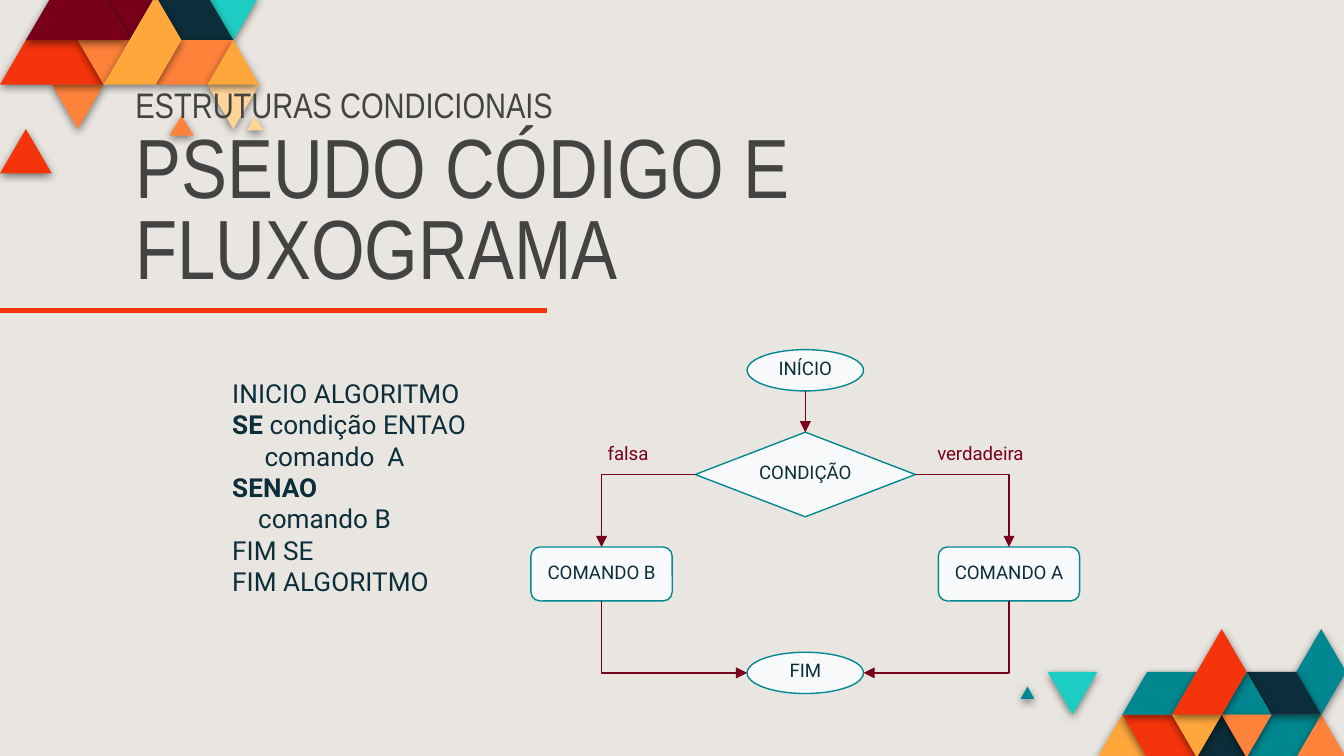
from dataclasses import dataclass

from lxml import etree
from pptx import Presentation
from pptx import util as u
from pptx.dml.color import RGBColor
from pptx.enum import shapes, text
from pptx.oxml import parse_xml
from pptx.oxml.ns import nsdecls, qn

Cm, Pt = u.Cm, u.Pt
COLORS = {
    "paper": "E9E6E1", "wine": "78001B", "red": "F5340B", "orange": "FF823B",
    "amber": "FFA73B", "cream": "FFD497", "aqua": "1DCDC3", "teal": "018790",
    "navy": "0C2E3A", "gray": "434343", "white": "F8FAFB",
}
SHADOW = (
    f'<a:effectLst {nsdecls("a")}><a:outerShdw blurRad="57150" dist="19050" dir="5400000" '
    'algn="bl" rotWithShape="0"><a:srgbClr val="000000"><a:alpha val="50000"/></a:srgbClr>'
    '</a:outerShdw></a:effectLst>'
)


@dataclass
class Mosaic:
    """Tiles whose corners are (column, row) points of a triangular lattice."""
    left: float
    top: float
    dx: float
    dy: float
    tiles: list[tuple[str, list[tuple[float, float]]]]


@dataclass
class Node:
    label: str
    preset: shapes.MSO_SHAPE
    cx: float
    cy: float
    w: float
    h: float
    label_w: float


@dataclass
class Line:
    words: list[tuple[str, bool]]
    indent: float = 0


TOP_MOSAIC = Mosaic(0, -0.08, 0.49, 0.84, [
    ("wine", [(6, 0), (5, 1), (4, 0)]),
    ("aqua", [(10, 0), (9, 1), (8, 0)]),
    ("navy", [(9, 1), (7, 1), (6, 0), (8, 0)]),
    ("cream", [(10, 2), (9, 3), (8, 2)]),
    ("orange", [(7.47, 3.15), (6.53, 3.15), (7, 2.7)]),
    ("cream", [(10.16, 3.03), (9.53, 3.03), (9.84, 2.7)]),
    ("orange", [(9, 1), (8, 2), (6, 2), (7, 1)]),
    ("amber", [(10, 2), (8, 2), (9, 1)]),
    ("orange", [(4, 2), (3, 3), (2, 2)]),
    ("red", [(2, 4), (0, 4), (1, 3)]),
    ("red", [(4, 2), (0, 2), (1, 1), (3, 1)]),
    ("orange", [(5, 1), (4, 2), (3, 1)]),
    ("wine", [(5, 1), (1, 1), (2, 0), (4, 0)]),
    ("amber", [(7, 1), (6, 2), (4, 2), (6, 0)]),
])
BOTTOM_MOSAIC = Mosaic(19.8, 11.89, 0.47, 0.81, [
    ("amber", [(2, 3), (3, 2), (4, 3)]),
    ("red", [(3, 2), (5, 2), (6, 3), (4, 3)]),
    ("teal", [(8, 3), (9, 2), (11, 2), (10, 3)]),
    ("orange", [(10, 3), (11, 2), (12, 3)]),
    ("navy", [(6, 3), (7, 2), (8, 3)]),
    ("teal", [(3, 2), (4, 1), (6, 1), (5, 2)]),
    ("teal", [(-1.09, 1.63), (-0.81, 1.34), (-0.54, 1.63)]),
    ("aqua", [(0, 1), (2, 1), (1, 2)]),
    ("teal", [(10, 1), (11, 0), (12, 1), (11, 2)]),
    ("navy", [(8, 1), (10, 1), (11, 2), (9, 2)]),
    ("teal", [(7, 2), (8, 1), (9, 2)]),
    ("orange", [(7, 2), (9, 2), (8, 3)]),
    ("amber", [(5, 2), (7, 2), (6, 3)]),
    ("red", [(5, 2), (7, 0), (8, 1), (7, 2)]),
])

AXIS, BRANCH = 15.22, 3.85
SHAPE = shapes.MSO_SHAPE
START = Node("INÍCIO", SHAPE.FLOWCHART_CONNECTOR, AXIS, 7, 2.2, 0.78, 1.85)
END = Node("FIM", SHAPE.FLOWCHART_CONNECTOR, AXIS, 12.72, 2.2, 0.78, 1.85)
CONDITION = Node("CONDIÇÃO", SHAPE.FLOWCHART_DECISION, AXIS, 8.97, 4.16, 1.6, 2.74)
COMMAND_B = Node("COMANDO B", SHAPE.ROUNDED_RECTANGLE, AXIS - BRANCH, 10.85, 2.67, 1.02, 3.18)
COMMAND_A = Node("COMANDO A", SHAPE.ROUNDED_RECTANGLE, AXIS + BRANCH, 10.85, 2.67, 1.02, 3.18)
NODES = [START, END, CONDITION, COMMAND_B, COMMAND_A]

PSEUDOCODE = [
    Line([("INICIO ALGORITMO", False)]),
    Line([("SE", True), (" condição ENTAO", False)]),
    Line([("comando  A", False)], 0.61),
    Line([("SENAO", True)]),
    Line([("comando B", False)], 0.49),
    Line([("FIM SE", False)]),
    Line([("FIM ALGORITMO", False)]),
]


def rgb(name: str) -> RGBColor:
    return RGBColor.from_string(COLORS[name])


def draw_mosaic(s, mosaic: Mosaic) -> None:
    group = s.shapes.add_group_shape()
    for color, corners in mosaic.tiles:
        pts = [(Cm(mosaic.left + c * mosaic.dx), Cm(mosaic.top + r * mosaic.dy))
               for c, r in corners]
        fb = group.shapes.build_freeform(*pts[0])
        fb.add_line_segments(pts[1:], close=True)
        sp = fb.convert_to_shape()
        sp.fill.solid()
        sp.fill.fore_color.rgb = rgb(color)
        sp.line.fill.background()
        sp._element.spPr.append(parse_xml(SHADOW))


def add_text_frame(s, x: float, y: float, w: float, h: float):
    tf = s.shapes.add_textbox(Cm(x), Cm(y), Cm(w), Cm(h)).text_frame
    tf.word_wrap = True
    tf.margin_left = tf.margin_right = tf.margin_top = tf.margin_bottom = Cm(0.25)
    return tf


def add_run(p, words: str, size: float, color: str, font: str = "Roboto", bold: bool = False) -> None:
    r = p.add_run()
    r.text = words
    r.font.name, r.font.size, r.font.bold = font, Pt(size), bold
    r.font.color.rgb = rgb(color)


def draw_label(s, words: str, cx: float, cy: float, w: float, color: str = "navy") -> None:
    tf = add_text_frame(s, cx - w / 2, cy - 0.47, w, 0.94)
    tf.auto_size = text.MSO_AUTO_SIZE.SHAPE_TO_FIT_TEXT
    tf.paragraphs[0].alignment = text.PP_ALIGN.CENTER
    add_run(tf.paragraphs[0], words, 10, color)


def draw_node(s, node: Node):
    sp = s.shapes.add_shape(node.preset, Cm(node.cx - node.w / 2), Cm(node.cy - node.h / 2),
                            Cm(node.w), Cm(node.h))
    sp.shadow.inherit = False
    sp.fill.solid()
    sp.fill.fore_color.rgb = rgb("white")
    sp.line.color.rgb = rgb("teal")
    sp.line.width = Pt(0.75)
    return sp


def draw_line(s, x1: float, y1: float, x2: float, y2: float, color: str = "wine",
              width: float = 0.75, arrow: bool = True, elbow: bool = False):
    kind = shapes.MSO_CONNECTOR.ELBOW if elbow else shapes.MSO_CONNECTOR.STRAIGHT
    cxn = s.shapes.add_connector(kind, Cm(x1), Cm(y1), Cm(x2), Cm(y2))
    cxn.line.color.rgb = rgb(color)
    cxn.line.width = Pt(width)
    sp_pr = cxn._element.spPr
    if arrow:
        etree.SubElement(sp_pr.find(qn("a:ln")), qn("a:tailEnd"), type="triangle")
    if elbow:
        sp_pr.find(qn("a:prstGeom")).set("prst", "bentConnector2")
    etree.SubElement(sp_pr, qn("a:effectLst"))
    return cxn


def draw_down_then_across(s, x1: float, y1: float, x2: float, y2: float) -> None:
    """A one-bend connector runs across first, so it is turned a quarter to run down first."""
    cx, cy = (x1 + x2) / 2, (y1 + y2) / 2
    w, h = y2 - y1, abs(x2 - x1)
    left, right, top, bottom = cx - w / 2, cx + w / 2, cy - h / 2, cy + h / 2
    rightward = x2 > x1
    if rightward:
        left, right = right, left
    cxn = draw_line(s, left, top, right, bottom, elbow=True)
    cxn._element.spPr.find(qn("a:xfrm")).set("rot", "16200000" if rightward else "5400000")


def draw_title(s) -> None:
    tf = add_text_frame(s, 2.31, 4.24, 19.81, 1.6)
    tf.vertical_anchor = text.MSO_ANCHOR.BOTTOM
    p = tf.paragraphs[0]
    add_run(p, "ESTRUTURAS CONDICIONAIS", 19, "gray", "Arial Narrow")
    p.line_spacing = 0.8
    p = tf.add_paragraph()
    add_run(p, "PSEUDO CÓDIGO E FLUXOGRAMA", 45, "gray", "Arial Narrow")
    p.line_spacing, p.space_before = 0.8, Pt(4.6)


def draw_pseudocode(s) -> None:
    tf = add_text_frame(s, 4.14, 6.88, 6.17, 5.82)
    for i, line in enumerate(PSEUDOCODE):
        p = tf.add_paragraph() if i else tf.paragraphs[0]
        if line.indent:
            p._p.get_or_add_pPr().set("marL", str(Cm(line.indent)))
        for words, bold in line.words:
            add_run(p, words, 14, "navy", bold=bold)


def draw_flowchart(s) -> None:
    drawn = {node.label: draw_node(s, node) for node in NODES}
    down = draw_line(s, AXIS, START.cy + START.h / 2, AXIS, CONDITION.cy - CONDITION.h / 2)
    down.end_connect(drawn[CONDITION.label], 0)
    for side, box in ((-1, COMMAND_B), (1, COMMAND_A)):
        draw_line(s, AXIS + side * CONDITION.w / 2, CONDITION.cy,
                  box.cx, box.cy - box.h / 2, elbow=True)
        draw_down_then_across(s, box.cx, box.cy + box.h / 2, AXIS + side * END.w / 2, END.cy)
    for node in NODES:
        draw_label(s, node.label, node.cx, node.cy, node.label_w)
    draw_label(s, "falsa", 11.87, 8.6, 3.18, "wine")
    draw_label(s, "verdadeira", 18.53, 8.6, 3.18, "wine")


def main() -> None:
    prs = Presentation()
    prs.slide_width, prs.slide_height = Cm(25.4), Cm(14.29)
    s = prs.slides.add_slide(prs.slide_layouts[6])
    s.background.fill.solid()
    s.background.fill.fore_color.rgb = rgb("paper")
    draw_mosaic(s, TOP_MOSAIC)
    draw_mosaic(s, BOTTOM_MOSAIC)
    draw_title(s)
    draw_pseudocode(s)
    draw_line(s, -0.84, 5.87, 10.33, 5.87, "red", 2.25, arrow=False)
    draw_flowchart(s)
    prs.save("out.pptx")


if __name__ == "__main__":
    main()
